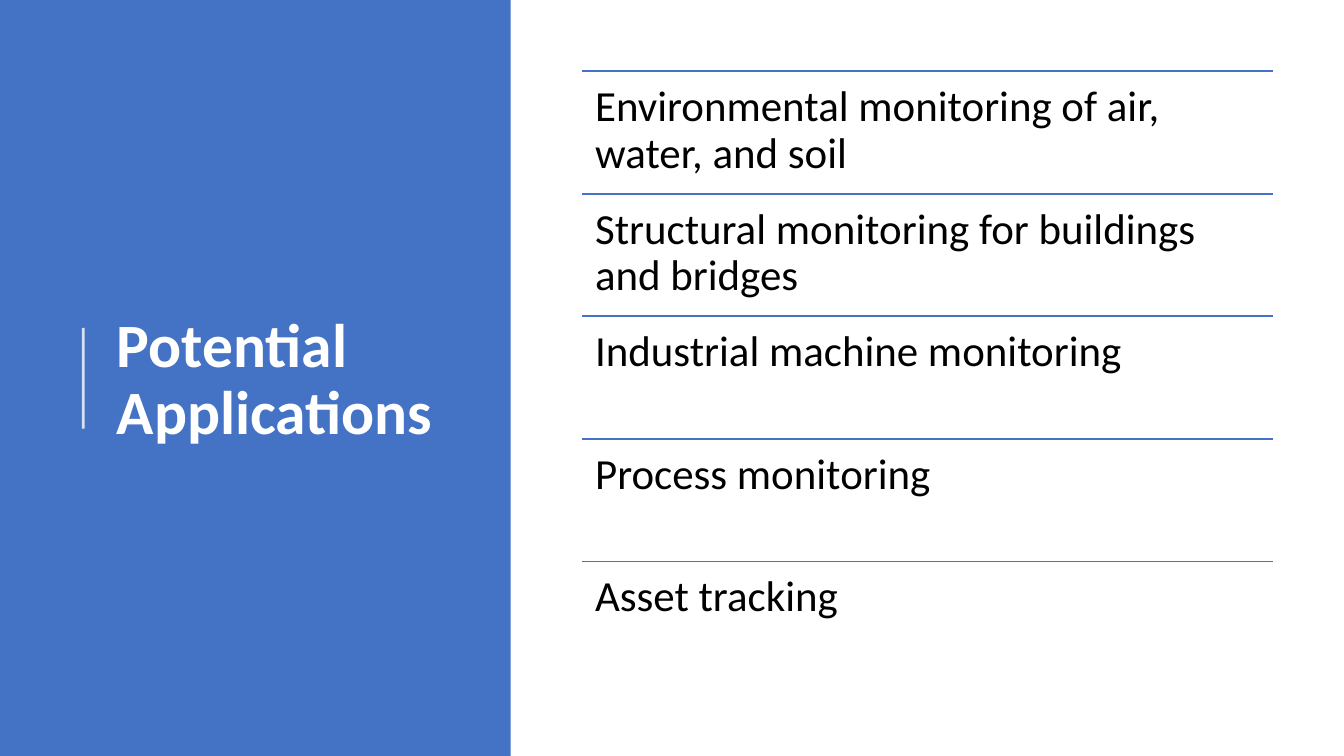
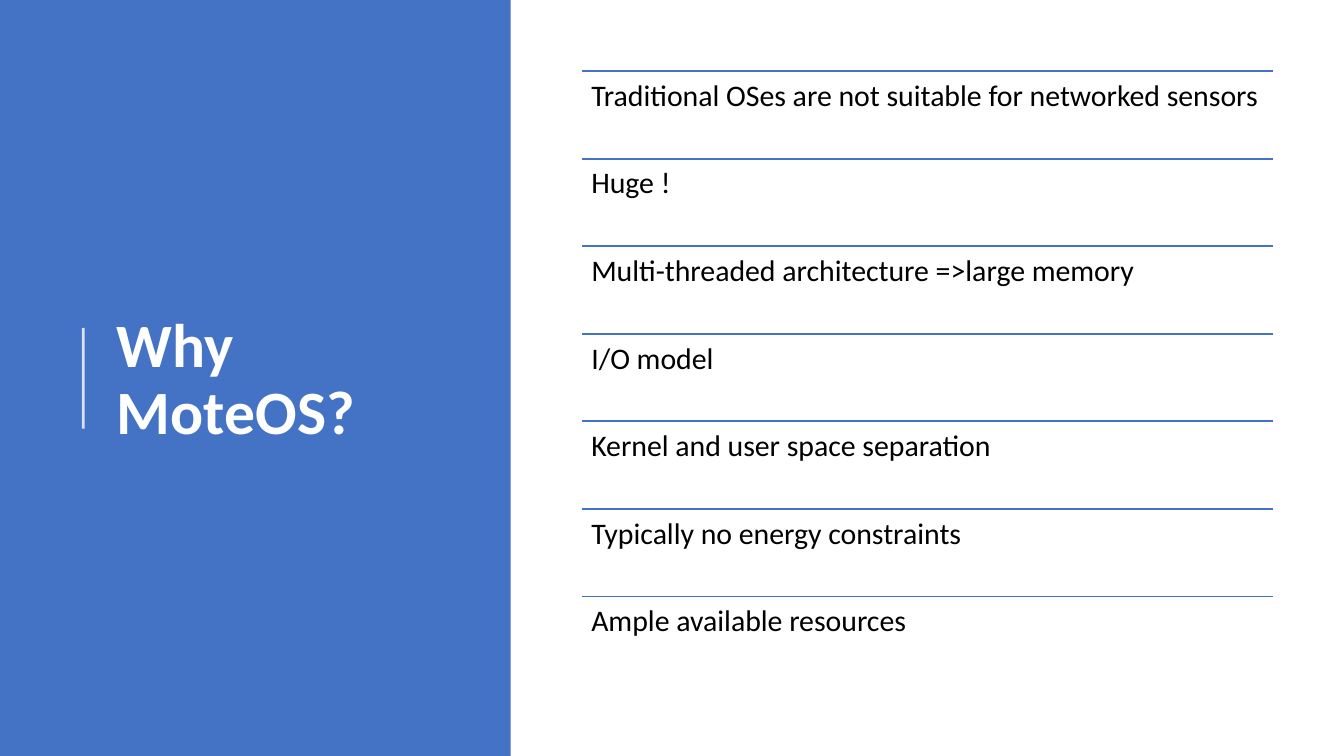
import dataclasses

import lxml.etree
import pptx
import pptx.dml.color
import pptx.enum.shapes
import pptx.enum.text
import pptx.oxml.ns
import pptx.util

COLORS = {"accent": "4472C4", "light": "FFFFFF", "ink": "000000"}
FONT = "Calibri"
WIDTH = pptx.util.Inches(10)
HEIGHT = pptx.util.Inches(5.625)
TITLE_ONLY = 5
LINE_SPACING = 0.9
SPACE_AFTER_SHARE = 0.35


@dataclasses.dataclass(frozen=True)
class Area:
    """A rectangle in inches."""

    left: float
    top: float
    width: float
    height: float

    @property
    def bounds(self) -> tuple:
        """Return the left, top, width and height as lengths."""
        sides = (self.left, self.top, self.width, self.height)
        return tuple(pptx.util.Inches(side) for side in sides)

    def row(self, index: int, count: int) -> "Area":
        """Return one of several equal rows of this area."""
        step = self.height / count
        return Area(self.left, self.top + index * step, self.width, step)


@dataclasses.dataclass(frozen=True)
class Topic:
    """The title and ruled list of one slide."""

    title: str
    items: tuple[str, ...]
    size: float
    inset: float


TITLE_AREA = Area(0.77, 0.58, 2.76, 4.51)
LIST_AREA = Area(4.33, 0.53, 5.14, 4.56)
BAND_SHARE = 0.38
BAR_LEFT, BAR_TOP, BAR_BOTTOM = 0.62, 2.44, 3.19

TOPICS = (
    Topic(
        "Potential Applications",
        (
            "Environmental monitoring of air, water, and soil",
            "Structural monitoring for buildings and bridges",
            "Industrial machine monitoring",
            "Process monitoring",
            "Asset tracking",
        ),
        size=23,
        inset=0.1,
    ),
    Topic(
        "Why MoteOS?",
        (
            "Traditional OSes are not suitable for networked sensors",
            "Huge !",
            "Multi-threaded architecture =>large memory",
            "I/O model",
            "Kernel and user space separation",
            "Typically no energy constraints",
            "Ample available resources",
        ),
        size=16,
        inset=0.07,
    ),
)


def color(name: str) -> pptx.dml.color.RGBColor:
    """Look up a named colour."""
    return pptx.dml.color.RGBColor.from_string(COLORS[name])


def write(frame, text: str, size: float, ink: str, bold: bool = False) -> None:
    """Fill a text frame with one formatted, left-aligned paragraph."""
    frame.text = text
    frame.word_wrap = True
    frame.auto_size = pptx.enum.text.MSO_AUTO_SIZE.NONE
    para = frame.paragraphs[0]
    para.alignment = pptx.enum.text.PP_ALIGN.LEFT
    para.line_spacing = LINE_SPACING
    for span in para.runs:
        span.font.name = FONT
        span.font.size = pptx.util.Pt(size)
        span.font.bold = bold
        span.font.color.rgb = color(ink)


def draw_line(shapes, start: tuple[float, float], end: tuple[float, float],
              ink: str, weight: float, opacity: int = 100) -> None:
    """Draw a straight line without a shadow."""
    points = [pptx.util.Inches(value) for value in (*start, *end)]
    line = shapes.add_connector(pptx.enum.shapes.MSO_CONNECTOR.STRAIGHT, *points)
    line.line.color.rgb = color(ink)
    line.line.width = pptx.util.Pt(weight)
    properties = line.element.spPr
    lxml.etree.SubElement(properties, pptx.oxml.ns.qn("a:effectLst"))
    if opacity < 100:
        fill = properties.find(".//" + pptx.oxml.ns.qn("a:srgbClr"))
        alpha = lxml.etree.SubElement(fill, pptx.oxml.ns.qn("a:alpha"))
        alpha.set("val", str(opacity * 1000))


def draw_title(page, text: str) -> None:
    """Draw the side band, its bar and the title on top."""
    band = page.shapes.add_shape(
        pptx.enum.shapes.MSO_SHAPE.RECTANGLE, 0, 0, int(WIDTH * BAND_SHARE), HEIGHT)
    band.shadow.inherit = False
    band.fill.solid()
    band.fill.fore_color.rgb = color("accent")
    band.line.fill.background()
    draw_line(page.shapes, (BAR_LEFT, BAR_BOTTOM), (BAR_LEFT, BAR_TOP), "light", 1.5, 80)
    title = page.shapes.title
    title.left, title.top, title.width, title.height = TITLE_AREA.bounds
    write(title.text_frame, text, 33, "light", bold=True)
    title.text_frame.vertical_anchor = pptx.enum.text.MSO_ANCHOR.MIDDLE
    title.element.getparent().append(title.element)


def draw_list(page, topic: Topic) -> None:
    """Draw the items in equal rows, each under a rule."""
    group = page.shapes.add_group_shape()
    for index, item in enumerate(topic.items):
        row = LIST_AREA.row(index, len(topic.items))
        draw_line(group.shapes, (row.left, row.top), (row.left + row.width, row.top),
                  "accent", 1)
        box = group.shapes.add_textbox(*row.bounds)
        frame = box.text_frame
        write(frame, item, topic.size, "ink")
        frame.paragraphs[0].space_after = pptx.util.Pt(topic.size * SPACE_AFTER_SHARE)
        frame.vertical_anchor = pptx.enum.text.MSO_ANCHOR.TOP
        inset = pptx.util.Inches(topic.inset)
        frame.margin_left = frame.margin_right = inset
        frame.margin_top = frame.margin_bottom = inset


def main() -> None:
    """Build and save the deck."""
    deck = pptx.Presentation()
    deck.slide_width, deck.slide_height = WIDTH, HEIGHT
    for topic in TOPICS:
        page = deck.slides.add_slide(deck.slide_layouts[TITLE_ONLY])
        draw_title(page, topic.title)
        draw_list(page, topic)
    deck.save("out.pptx")


if __name__ == "__main__":
    main()
